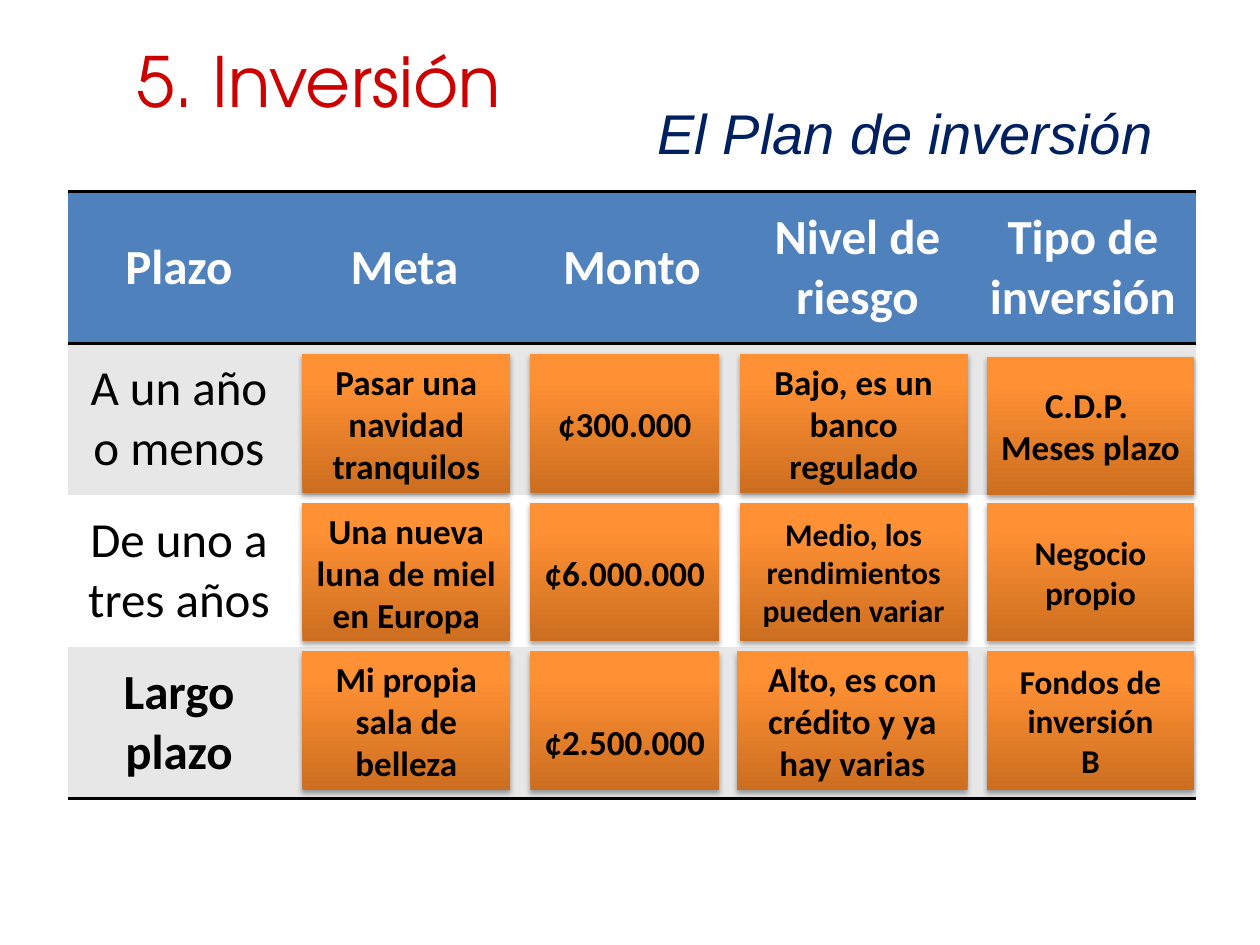
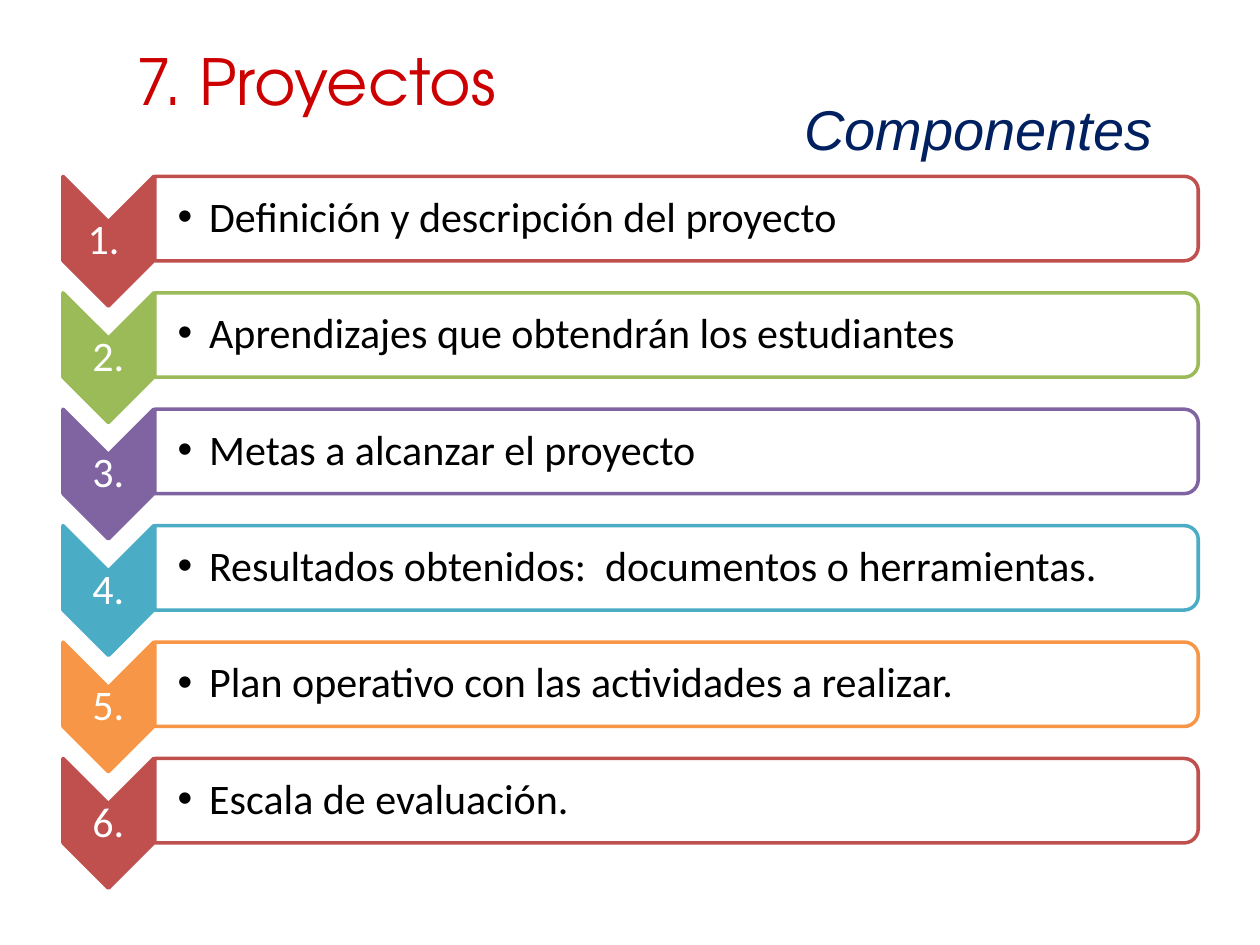
from dataclasses import dataclass

from pptx import Presentation
from pptx.dml.color import RGBColor
from pptx.enum.shapes import MSO_SHAPE as Preset
from pptx.enum.text import MSO_ANCHOR as Anchor, MSO_AUTO_SIZE as AutoSize, PP_ALIGN as Align
from pptx.oxml import parse_xml
from pptx.oxml.ns import nsdecls, qn
from pptx.util import Inches, Pt


@dataclass(frozen=True)
class Theme:
    """Colours, fonts and type sizes shared by the slides."""
    title_font: str = "TeX Gyre Adventor"
    subtitle_font: str = "Arial"
    body_font: str = "Calibri"
    title: str = "CC0000"
    subtitle: str = "002060"
    ink: str = "000000"
    paper: str = "FFFFFF"
    header: str = "4F81BD"
    stripe: str = "E7E7E7"
    card_stops: tuple = ((0, "CC6E20"), (80, "FF9034"), (100, "FF9136"))
    steps: tuple = ("C0504D", "9BBB59", "8064A2", "4BACC6", "F79646")
    subtitle_size: float = 32
    table_size: float = 28
    step_size: float = 24
    line_width: float = 2


@dataclass(frozen=True)
class Box:
    """A rectangle in inches."""
    left: float
    top: float
    width: float
    height: float

    def inside(self, left, top, width, height):
        """Return a box placed relative to this one."""
        return Box(self.left + left, self.top + top, width, height)

    def turned(self):
        """Return the unrotated frame of a shape that fills this box after a quarter turn."""
        shift = (self.width - self.height) / 2
        return Box(self.left + shift, self.top - shift, self.height, self.width)

    def lengths(self):
        """Return left, top, width and height as slide lengths."""
        return [Inches(v) for v in (self.left, self.top, self.width, self.height)]


@dataclass(frozen=True)
class Card:
    """The text of one card and its small departures from the grid."""
    lines: tuple
    size: float = 20
    widen: float = 0
    drop: float = 0
    inset: float = 0.05


THEME = Theme()
NO_TABLE_STYLE = "{2D5ABB26-0587-4C30-8999-92F81FD0307C}"
TITLE_BOX = Box(0.98, 0.21, 3.36, 0.85)
TABLE_BOX = Box(0.54, 1.52, 8.95, 4.82)
STEPS_BOX = Box(0.5, 1.4, 9, 5.65)
STEP_PITCH = 4.62 / 5
COLUMN_WIDTHS = (1.76, 1.82, 1.79, 1.79, 1.79)
CARD_COLUMNS = ((1.86, 1.65), (3.67, 1.5), (5.33, 1.81), (7.29, 1.65))

HEADINGS = ("Plazo", "Meta", "Monto", "Nivel de riesgo", "Tipo de inversión")
TERMS = ("A un año o menos", "De uno a tres años", "Largo plazo")
CARDS = (
    (Card(("Pasar una navidad tranquilos",)), Card(("¢300.000",)),
     Card(("Bajo, es un banco regulado",)), Card(("C.D.P. ", "Meses plazo"), drop=0.02)),
    (Card(("Una nueva luna de miel en Europa",)), Card(("¢6.000.000",)),
     Card(("Medio, los rendimientos pueden variar",), 18), Card(("Negocio propio",), 19)),
    (Card(("Mi propia sala de belleza",)), Card(("¢2.500.000",), inset=0.38),
     Card(("Alto, es con crédito y ya hay varias",), widen=0.02),
     Card(("Fondos de inversión", "B"), 19)),
)
COMPONENTS = (
    ("1. ", "Definición y descripción del proyecto"),
    ("2.", "Aprendizajes que obtendrán los estudiantes"),
    ("3.", "Metas a alcanzar el proyecto"),
    ("4.", "Resultados obtenidos:  documentos o herramientas."),
    ("5.", "Plan operativo con las actividades a realizar."),
    ("6.", "Escala de evaluación."),
)


def rgb(colour):
    """Turn a hex string into a colour."""
    return RGBColor.from_string(colour)


def write(para, text, size, colour, font=THEME.body_font, align=Align.CENTER,
          bold=False, italic=False):
    """Add one formatted run to a paragraph."""
    para.alignment = align
    span = para.add_run()
    span.text = text
    span.font.name, span.font.size = font, Pt(size)
    span.font.bold, span.font.italic = bold, italic
    span.font.color.rgb = rgb(colour)


def add_label(page, box, margins=(0.1, 0.05)):
    """Add a wrapped, middle-anchored text box and return its paragraph."""
    frame = page.shapes.add_textbox(*box.lengths()).text_frame
    frame.word_wrap, frame.vertical_anchor = True, Anchor.MIDDLE
    left, other = margins
    frame.margin_left = Inches(left)
    frame.margin_right = Inches(left if left == 0.1 else other)
    frame.margin_top = frame.margin_bottom = Inches(other)
    return frame.paragraphs[0]


def add_page(deck, title, title_size, subtitle, subtitle_top):
    """Add a slide with its title and right-aligned subtitle."""
    page = deck.slides.add_slide(deck.slide_layouts[5])
    heading = page.shapes.title
    heading.left, heading.top, heading.width, heading.height = TITLE_BOX.lengths()
    frame = heading.text_frame
    frame.auto_size, frame.vertical_anchor = AutoSize.NONE, Anchor.MIDDLE
    write(frame.paragraphs[0], title, title_size, THEME.title, THEME.title_font, Align.LEFT)
    para = add_label(page, Box(3.5, subtitle_top, 5.75, 0.58))
    write(para, subtitle, THEME.subtitle_size, THEME.subtitle, THEME.subtitle_font,
          Align.RIGHT, italic=True)
    return page


def rule_cell(cell, sides):
    """Draw black rules on the named sides of a cell."""
    for index, side in enumerate(sides):
        cell._tc.get_or_add_tcPr().insert(index, parse_xml(
            f'<a:ln{side} {nsdecls("a")} w="{Pt(THEME.line_width)}"><a:solidFill>'
            f'<a:srgbClr val="{THEME.ink}"/></a:solidFill></a:ln{side}>'))


def add_plan_table(page, box):
    """Add the striped table with headings and terms."""
    rows = len(TERMS) + 1
    table = page.shapes.add_table(rows, len(HEADINGS), *box.lengths()).table
    table._tbl.tblPr.find(qn("a:tableStyleId")).text = NO_TABLE_STYLE
    for column, width in zip(table.columns, COLUMN_WIDTHS):
        column.width = Inches(width)
    for r in range(rows):
        table.rows[r].height = Inches(box.height / rows)
        fill = THEME.header if r == 0 else (THEME.paper, THEME.stripe)[r % 2]
        texts = HEADINGS if r == 0 else (TERMS[r - 1],)
        for c in range(len(HEADINGS)):
            cell = table.cell(r, c)
            cell.vertical_anchor = Anchor.MIDDLE
            cell.fill.solid()
            cell.fill.fore_color.rgb = rgb(fill)
            rule_cell(cell, "TB" if r == 0 else "B" if r == rows - 1 else "")
            if c < len(texts):
                write(cell.text_frame.paragraphs[0], texts[c], THEME.table_size,
                      THEME.ink if r else THEME.paper, bold=r in (0, rows - 1))


def add_card(page, box, card):
    """Add one orange card with a gradient and a soft shadow."""
    shape = page.shapes.add_shape(Preset.RECTANGLE, *box.lengths())
    shape.fill.gradient()
    shape.line.fill.background()
    shape.shadow.inherit = False
    props = shape._element.spPr
    stops = "".join(f'<a:gs pos="{place * 1000}"><a:srgbClr val="{colour}"/></a:gs>'
                    for place, colour in THEME.card_stops)
    props.replace(props.find(qn("a:gradFill")), parse_xml(
        f'<a:gradFill {nsdecls("a")} rotWithShape="1"><a:gsLst>{stops}</a:gsLst>'
        '<a:lin ang="16200000" scaled="0"/></a:gradFill>'))
    props.find(qn("a:effectLst")).append(parse_xml(
        f'<a:outerShdw {nsdecls("a")} blurRad="{Pt(3.1)}" dist="{Pt(1.8)}" dir="5400000" '
        f'rotWithShape="0"><a:srgbClr val="{THEME.ink}"><a:alpha val="35000"/></a:srgbClr>'
        '</a:outerShdw>'))
    frame = shape.text_frame
    frame.word_wrap, frame.vertical_anchor = True, Anchor.MIDDLE
    frame.margin_top = Inches(card.inset)
    for index, line in enumerate(card.lines):
        para = frame.add_paragraph() if index else frame.paragraphs[0]
        write(para, line, card.size, THEME.ink, bold=True)


def add_cards(page, box):
    """Lay the cards over the table cells."""
    for r, row in enumerate(CARDS):
        for (left, width), card in zip(CARD_COLUMNS, row):
            add_card(page, box.inside(left - card.widen, 1.29 + 1.18 * r + card.drop,
                                      width + card.widen, 1.1), card)


def add_turned_shape(page, preset, box, fill, line):
    """Add an outlined preset shape turned a quarter clockwise."""
    shape = page.shapes.add_shape(preset, *box.turned().lengths())
    shape.rotation = 90
    shape.shadow.inherit = False
    shape.fill.solid()
    shape.fill.fore_color.rgb = rgb(fill)
    shape.line.color.rgb = rgb(line)
    shape.line.width = Pt(THEME.line_width)
    return shape


def add_bullet(para):
    """Give a paragraph a hanging round bullet."""
    props = para._p.get_or_add_pPr()
    props.set("marL", str(Inches(0.25)))
    props.set("indent", str(Inches(-0.25)))
    for mark in ('buFont {} typeface="Arial"', 'buChar {} char="•"'):
        props.append(parse_xml(f'<a:{mark.format(nsdecls("a"))}/>'))


def add_step(page, box, number, text, colour):
    """Add a numbered chevron and its bulleted band."""
    add_turned_shape(page, Preset.CHEVRON, box.inside(0, 0, 0.72, 1.03), colour, colour)
    para = add_label(page, box.inside(0, 0.36, 0.72, 0.31), (0.02, 0.02))
    para.line_spacing = 0.9
    write(para, number, THEME.step_size, THEME.paper)
    band = add_turned_shape(page, Preset.ROUND_2_SAME_RECTANGLE,
                            box.inside(0.73, 0, 8.28, 0.67), THEME.paper, colour)
    paint = band._element.spPr.find(qn("a:solidFill")).find(qn("a:srgbClr"))
    paint.append(parse_xml(f'<a:alpha {nsdecls("a")} val="90000"/>'))
    para = add_label(page, box.inside(0.72, 0.03, 8.25, 0.61), (0.19, 0.02))
    para.line_spacing = 0.9
    add_bullet(para)
    write(para, text, THEME.step_size, THEME.ink, align=Align.LEFT)


def add_steps(page, box):
    """Stack the project components at equal steps."""
    for index, (number, text) in enumerate(COMPONENTS):
        step = box.inside(0, STEP_PITCH * index, box.width, STEP_PITCH)
        add_step(page, step, number, text, THEME.steps[index % len(THEME.steps)])


def main():
    """Build and save the deck."""
    deck = Presentation()
    deck.slide_width, deck.slide_height = Inches(10), Inches(7.5)
    plan = add_page(deck, "5. Inversión", 39.6, "El Plan de inversión", 0.76)
    add_plan_table(plan, TABLE_BOX)
    add_cards(plan, TABLE_BOX)
    project = add_page(deck, "7. Proyectos", 36.3, "Componentes", 0.73)
    add_steps(project, STEPS_BOX)
    deck.save("out.pptx")


if __name__ == "__main__":
    main()
